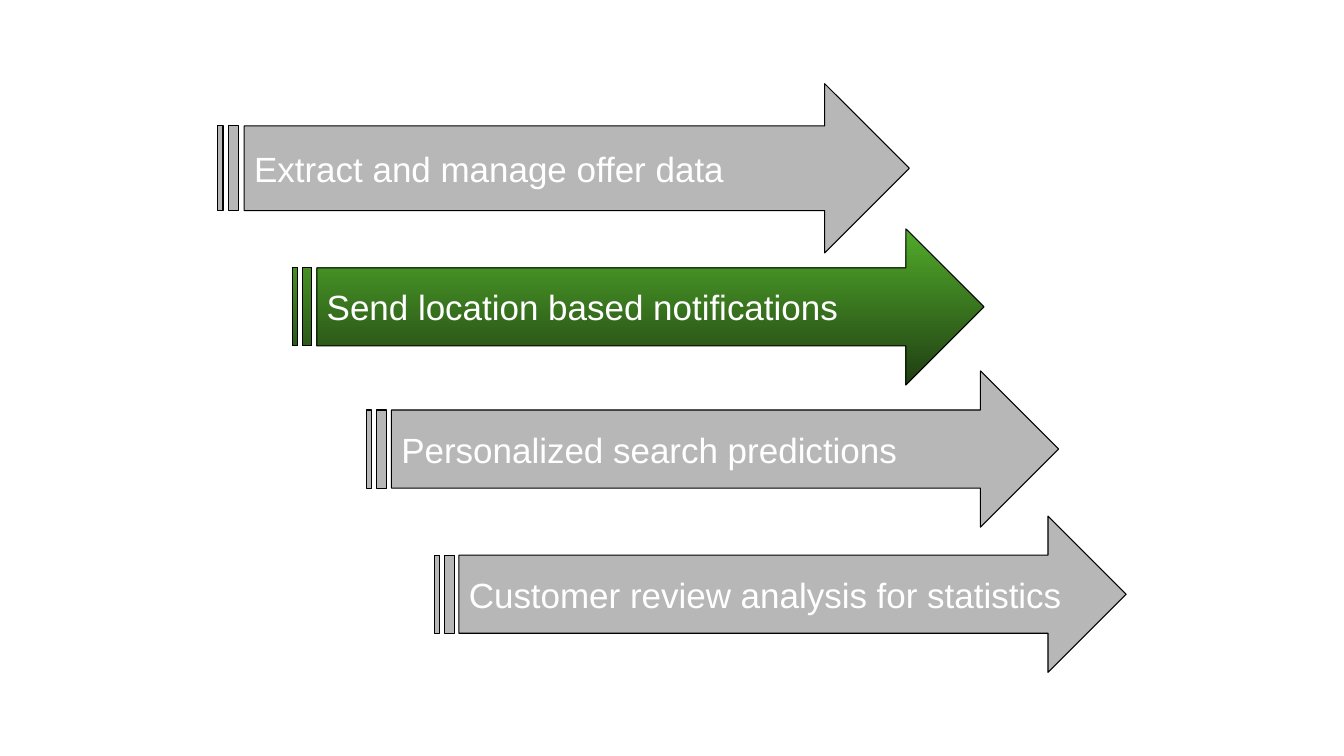
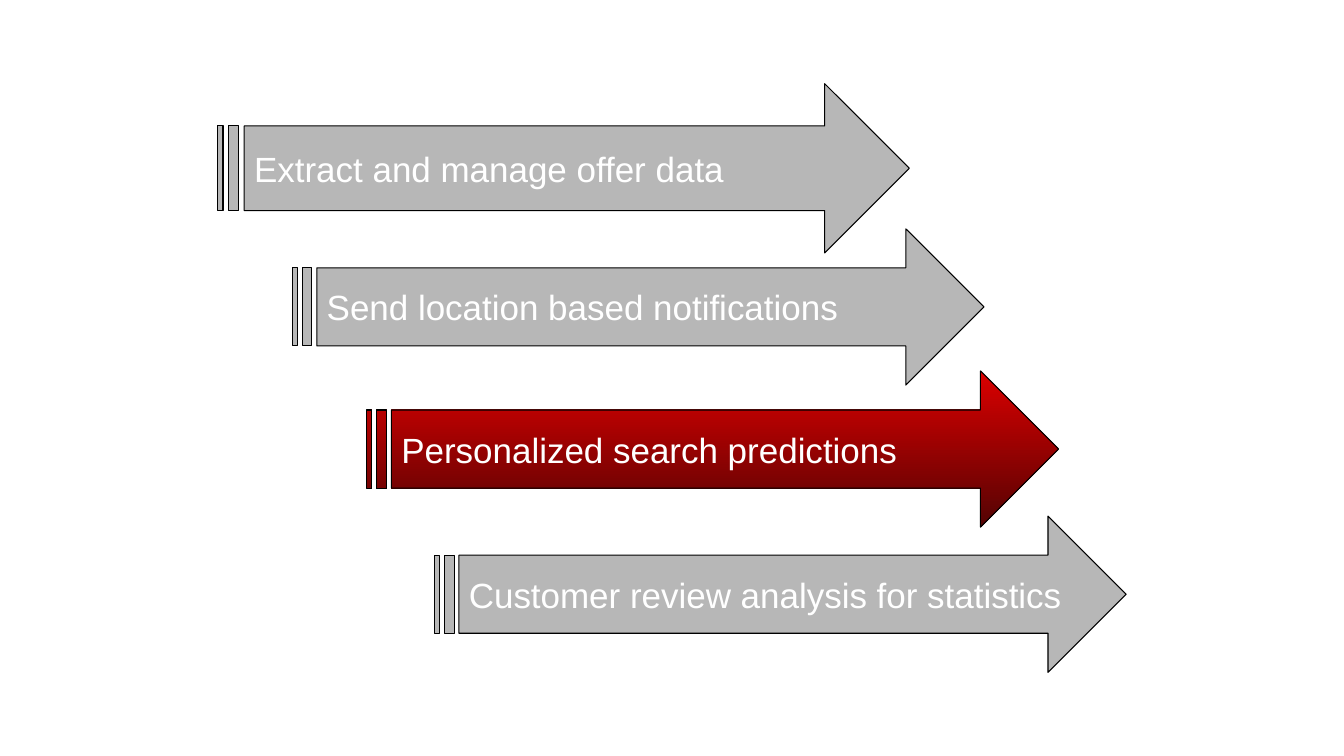
"""Build two slides of four staggered arrows, each highlighting one step."""
from pptx import Presentation
from pptx.dml.color import RGBColor
from pptx.enum.shapes import MSO_SHAPE
from pptx.enum.text import MSO_ANCHOR, PP_ALIGN
from pptx.util import Inches, Pt

STRIPED_ARROW = MSO_SHAPE.STRIPED_RIGHT_ARROW
MIDDLE = MSO_ANCHOR.MIDDLE
LEFT = PP_ALIGN.LEFT

STEPS = [
    ("Extract and manage offer data", 2.16, 0.83, 1.68),
    ("Send location based notifications", 2.9, 2.27, 1.55),
    ("Personalized search predictions", 3.64, 3.68, 1.55),
    ("Customer review analysis for statistics", 4.31, 5.12, 1.55),
]
HIGHLIGHTS = [
    {"step": 1, "gradient": ("51AB2A", "203E13")},
    {"step": 2, "gradient": ("DB0000", "540303")},
]
ARROW_WIDTH = 6.86
MUTED, OUTLINE, TEXT = "B7B7B7", "000000", "FFFFFF"
MARGIN = Inches(0.1)
FRAME_FORMAT = {
    "word_wrap": True,
    "vertical_anchor": MIDDLE,
    "margin_left": MARGIN,
    "margin_top": MARGIN,
    "margin_right": MARGIN,
    "margin_bottom": MARGIN,
}
FONT_FORMAT = {"name": "Arial", "size": Pt(25)}


def color(value):
    return RGBColor.from_string(value)


def apply_format(target, values):
    for name, value in values.items():
        setattr(target, name, value)


def fill_arrow(fill, gradient):
    if gradient is None:
        fill.solid()
        fill.fore_color.rgb = color(MUTED)
        return
    fill.gradient()
    fill.gradient_angle = 270
    for stop, value in zip(fill.gradient_stops, gradient):
        stop.color.rgb = color(value)


def add_arrow(slide, step, gradient):
    text, left, top, height = step
    arrow = slide.shapes.add_shape(
        STRIPED_ARROW, Inches(left), Inches(top), Inches(ARROW_WIDTH), Inches(height)
    )
    arrow.shadow.inherit = False
    fill_arrow(arrow.fill, gradient)
    arrow.line.color.rgb = color(OUTLINE)
    arrow.line.width = Pt(0.75)
    apply_format(arrow.text_frame, FRAME_FORMAT)
    paragraph = arrow.text_frame.paragraphs[0]
    paragraph.alignment = LEFT
    run = paragraph.add_run()
    run.text = text
    apply_format(run.font, FONT_FORMAT)
    run.font.color.rgb = color(TEXT)


def main():
    presentation = Presentation()
    presentation.slide_width = Inches(13.33)
    presentation.slide_height = Inches(7.5)
    blank_layout = presentation.slide_layouts[6]
    for highlight in HIGHLIGHTS:
        slide = presentation.slides.add_slide(blank_layout)
        for index, step in enumerate(STEPS):
            gradient = highlight["gradient"] if index == highlight["step"] else None
            add_arrow(slide, step, gradient)
    presentation.save("out.pptx")


if __name__ == "__main__":
    main()
